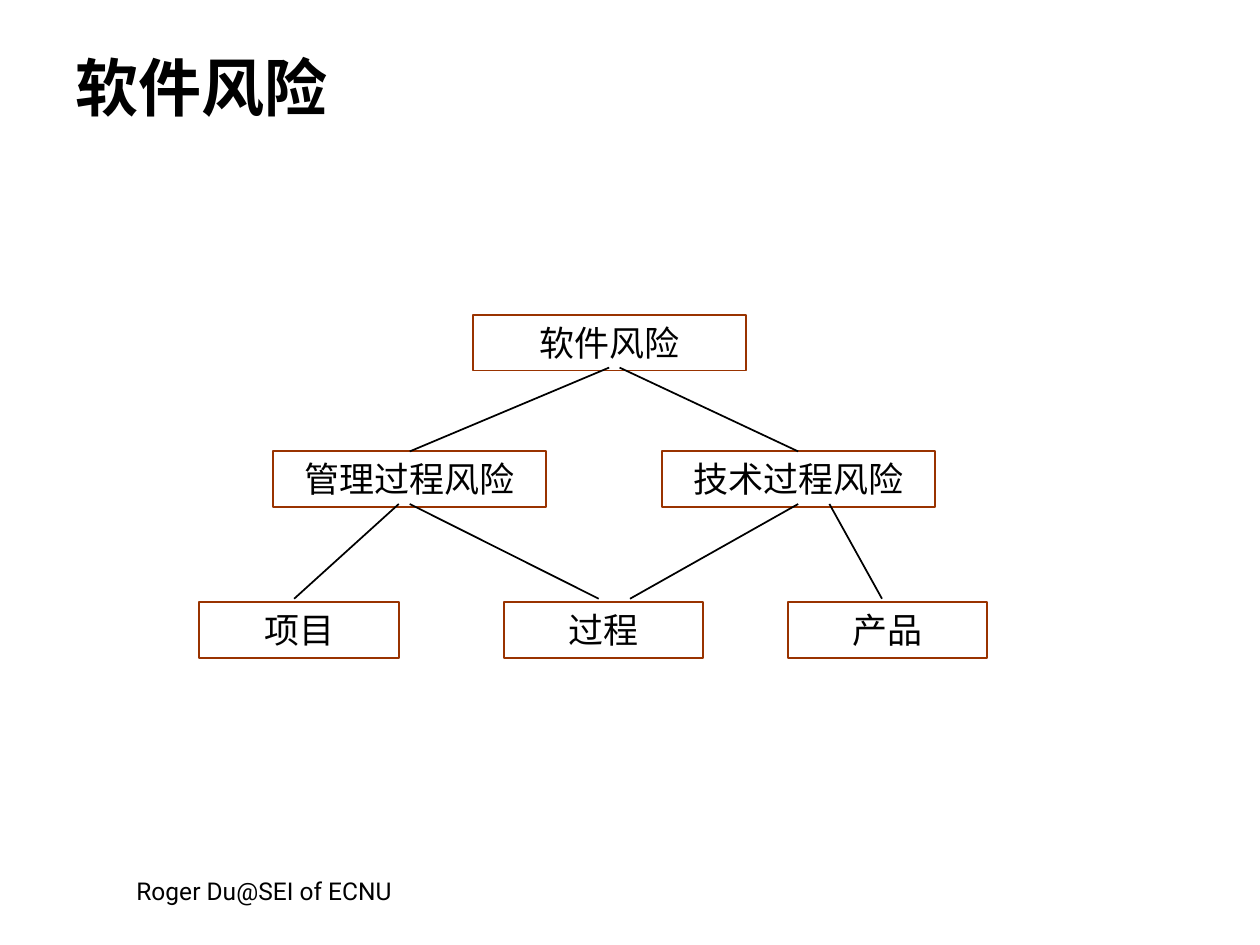
from dataclasses import dataclass

from pptx import Presentation
from pptx import util as u
from pptx.dml.color import RGBColor
from pptx.enum import shapes, text
from pptx.oxml.ns import qn
from lxml import etree


@dataclass(frozen=True)
class Theme:
    ink: RGBColor = RGBColor(0x00, 0x00, 0x00)
    border: RGBColor = RGBColor(0x99, 0x33, 0x00)
    sans: str = "Roboto"
    serif: str = "Times New Roman"
    title_size: int = 36
    node_size: int = 20
    footer_size: int = 14
    line_width: int = 1


THEME = Theme()

# Tree geometry in cm
ROW_TOPS = (6.35, 9.1, 12.14)
NODE_HEIGHT = 1.12
WIDE, NARROW = 5.51, 4.02

# Label, left edge, row, width
NODES = [
    ("软件风险", 9.53, 0, WIDE),
    ("管理过程风险", 5.5, 1, WIDE),
    ("技术过程风险", 13.34, 1, WIDE),
    ("项目", 4.02, 2, NARROW),
    ("过程", 10.16, 2, NARROW),
    ("产品", 15.88, 2, NARROW),
]

# Start and end heights of the branches leaving each row
BRANCH_SPANS = ((7.41, 9.1), (10.16, 12.07))

# Parent row, start x, end x
BRANCHES = [
    (0, 12.28, 8.26),
    (0, 12.49, 16.09),
    (1, 8.04, 5.93),
    (1, 8.26, 12.07),
    (1, 16.09, 12.7),
    (1, 16.72, 17.78),
]


def write_text(shape, content, size, font, align, bold=False):
    tf = shape.text_frame
    tf.word_wrap = True
    tf.auto_size = text.MSO_AUTO_SIZE.NONE
    tf.margin_left = tf.margin_right = u.Cm(0.25)
    tf.margin_top = tf.margin_bottom = u.Cm(0.13)
    p = tf.paragraphs[0]
    p.alignment = align
    r = p.add_run()
    r.text = content
    r.font.size = u.Pt(size)
    r.font.name = font
    r.font.bold = bold
    r.font.color.rgb = THEME.ink
    return tf


def add_title(s, content):
    sp = s.shapes.title
    sp.left, sp.top, sp.width, sp.height = map(u.Cm, (1.27, 0.76, 22.86, 1.96))
    tf = write_text(sp, content, THEME.title_size, THEME.sans,
                    text.PP_ALIGN.LEFT, bold=True)
    tf.vertical_anchor = text.MSO_ANCHOR.MIDDLE


def add_footer(s, content):
    sp = s.shapes.add_textbox(*map(u.Cm, (1.3, 17.53, 8.05, 0.94)))
    write_text(sp, content, THEME.footer_size, THEME.sans, text.PP_ALIGN.CENTER)


def add_node(s, label, left, row, width):
    sp = s.shapes.add_shape(shapes.MSO_SHAPE.RECTANGLE,
                            *map(u.Cm, (left, ROW_TOPS[row], width, NODE_HEIGHT)))
    sp.shadow.inherit = False
    sp.fill.background()
    sp.line.color.rgb = THEME.border
    sp.line.width = u.Pt(THEME.line_width)
    tf = write_text(sp, label, THEME.node_size, THEME.serif, text.PP_ALIGN.CENTER)
    tf.vertical_anchor = text.MSO_ANCHOR.TOP


def add_branch(s, row, start_x, end_x):
    start_y, end_y = BRANCH_SPANS[row]
    line = s.shapes.add_connector(shapes.MSO_CONNECTOR.STRAIGHT,
                                  *map(u.Cm, (start_x, start_y, end_x, end_y)))
    line.line.color.rgb = THEME.ink
    line.line.width = u.Pt(THEME.line_width)
    etree.SubElement(line._element.spPr, qn("a:effectLst"))


def main():
    prs = Presentation()
    prs.slide_width, prs.slide_height = u.Cm(25.4), u.Cm(19.05)
    s = prs.slides.add_slide(prs.slide_layouts[5])

    # Title and footer
    add_footer(s, "Roger Du@SEI of ECNU")
    add_title(s, "软件风险")

    # Risk tree
    for node in NODES:
        add_node(s, *node)
    for branch in BRANCHES:
        add_branch(s, *branch)

    prs.save("out.pptx")


if __name__ == "__main__":
    main()
